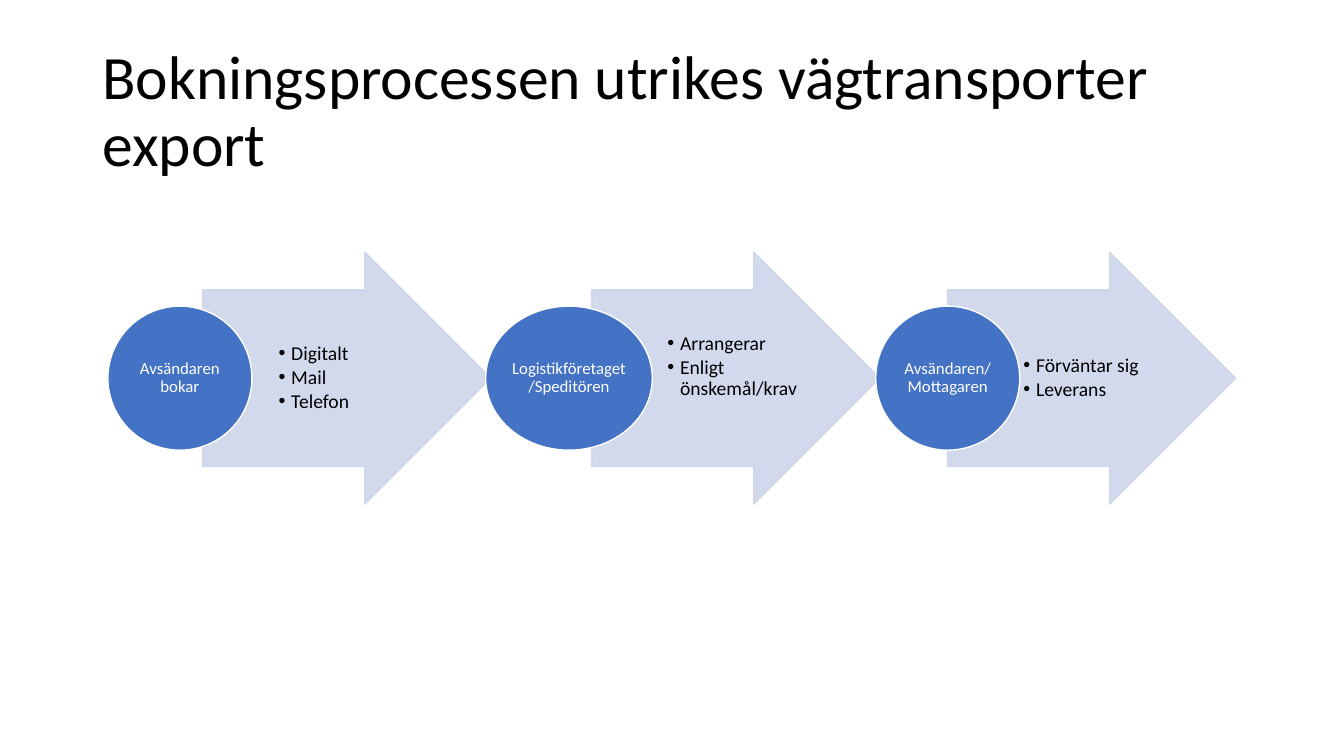
from lxml import etree
from pptx import Presentation
from pptx import util as u
from pptx.dml import color
from pptx.enum import shapes, text
from pptx.oxml import ns


def rgb(value):
    """Turn a hex string into a colour."""
    return color.RGBColor.from_string(value)


class ProcessSlide:
    """Draws the steps of a process on one slide in a shared style."""

    FONT = "Calibri"
    BLACK, WHITE = "000000", "FFFFFF"
    BLUE, PALE = "4472C4", "CFD5EA"
    MIDDLE = 9.53

    def __init__(self, slide):
        self.slide = slide

    def add_words(self, paragraph, words, size, ink):
        """Add one run in the slide's font."""
        paragraph.line_spacing = 0.9
        run = paragraph.add_run()
        run.text = words
        run.font.name = self.FONT
        run.font.size = u.Pt(size)
        run.font.color.rgb = rgb(ink)

    def frame(self, holder, insets):
        """Set wrapping, middle anchoring and insets (left, top, right, bottom)."""
        body = holder.text_frame
        body.word_wrap = True
        body.vertical_anchor = text.MSO_ANCHOR.MIDDLE
        (body.margin_left, body.margin_top,
         body.margin_right, body.margin_bottom) = map(u.Cm, insets)
        return body

    def box(self, left, top, width, height, insets):
        """Add a text box and return its text frame."""
        area = self.slide.shapes.add_textbox(*map(u.Cm, (left, top, width, height)))
        return self.frame(area, insets)

    def figure(self, preset, left, width, height, fill, line):
        """Add a filled shape centred on the process axis."""
        top = self.MIDDLE - height / 2
        figure = self.slide.shapes.add_shape(preset, *map(u.Cm, (left, top, width, height)))
        figure.shadow.inherit = False
        figure.fill.solid()
        figure.fill.fore_color.rgb = rgb(fill)
        figure.line.color.rgb = rgb(line)
        figure.line.width = u.Pt(1)
        return figure

    def title(self, words):
        """Add the slide title."""
        heading = self.box(2.33, 1.01, 30.73, 3.68, (0.25, 0.13, 0.25, 0.13))
        self.add_words(heading.paragraphs[0], words, 44, self.BLACK)

    def arrow(self, left):
        """Add a pale, slightly transparent block arrow."""
        arrow = self.figure(shapes.MSO_SHAPE.RIGHT_ARROW, left, 7.26, 6.35, self.PALE, self.PALE)
        arrow.adjustments[0] = 0.7
        arrow.adjustments[1] = 0.5
        for tint in arrow._element.spPr.iter(ns.qn("a:srgbClr")):
            etree.SubElement(tint, ns.qn("a:alpha"), val="90000")

    def bullets(self, left, items, lift):
        """Add a bulleted list, raised by means of a deeper bottom inset."""
        listing = self.box(left, self.MIDDLE - 2.22, 3.53, 4.44, (0.1, 0.03, 0.05, 0.03 + lift))
        for index, item in enumerate(items):
            paragraph = listing.add_paragraph() if index else listing.paragraphs[0]
            settings = paragraph._p.get_or_add_pPr()
            settings.set("marL", str(u.Cm(0.32)))
            settings.set("indent", str(u.Cm(-0.32)))
            etree.SubElement(settings, ns.qn("a:buFont"), typeface="Arial")
            etree.SubElement(settings, ns.qn("a:buChar"), char="•")
            if index:
                paragraph.space_before = u.Pt(2)
            self.add_words(paragraph, item, 14, self.BLACK)

    def actor(self, left, width, words):
        """Add the ellipse that names who acts."""
        ellipse = self.figure(shapes.MSO_SHAPE.OVAL, left, width, 3.63, self.BLUE, self.WHITE)
        label = self.frame(ellipse, (0.02,) * 4).paragraphs[0]
        label.alignment = text.PP_ALIGN.CENTER
        self.add_words(label, words, 12, self.WHITE)

    def step(self, arrow_left, actor_left, actor_width, actor, items, lift):
        """Add one step: arrow, list and actor."""
        self.arrow(arrow_left)
        self.bullets(arrow_left + 1.81, items, lift)
        self.actor(actor_left, actor_width, actor)


def main():
    """Build and save the slide."""
    deck = Presentation()
    deck.slide_width, deck.slide_height = u.Cm(33.87), u.Cm(19.05)
    process = ProcessSlide(deck.slides.add_slide(deck.slide_layouts[6]))
    steps = [
        (5.11, 2.72, 3.63, "Avsändaren bokar", ["Digitalt", "Mail", "Telefon"], 0),
        (14.91, 12.24, 4.2, "Logistikföretaget/Speditören",
         ["Arrangerar", "Enligt önskemål/krav"], 0.6),
        (23.88, 22.07, 3.63, "Avsändaren/Mottagaren", ["Förväntar sig", "Leverans"], 0),
    ]
    for step in steps:
        process.step(*step)
    process.title("Bokningsprocessen utrikes vägtransporter export")
    deck.save("out.pptx")


if __name__ == "__main__":
    main()
